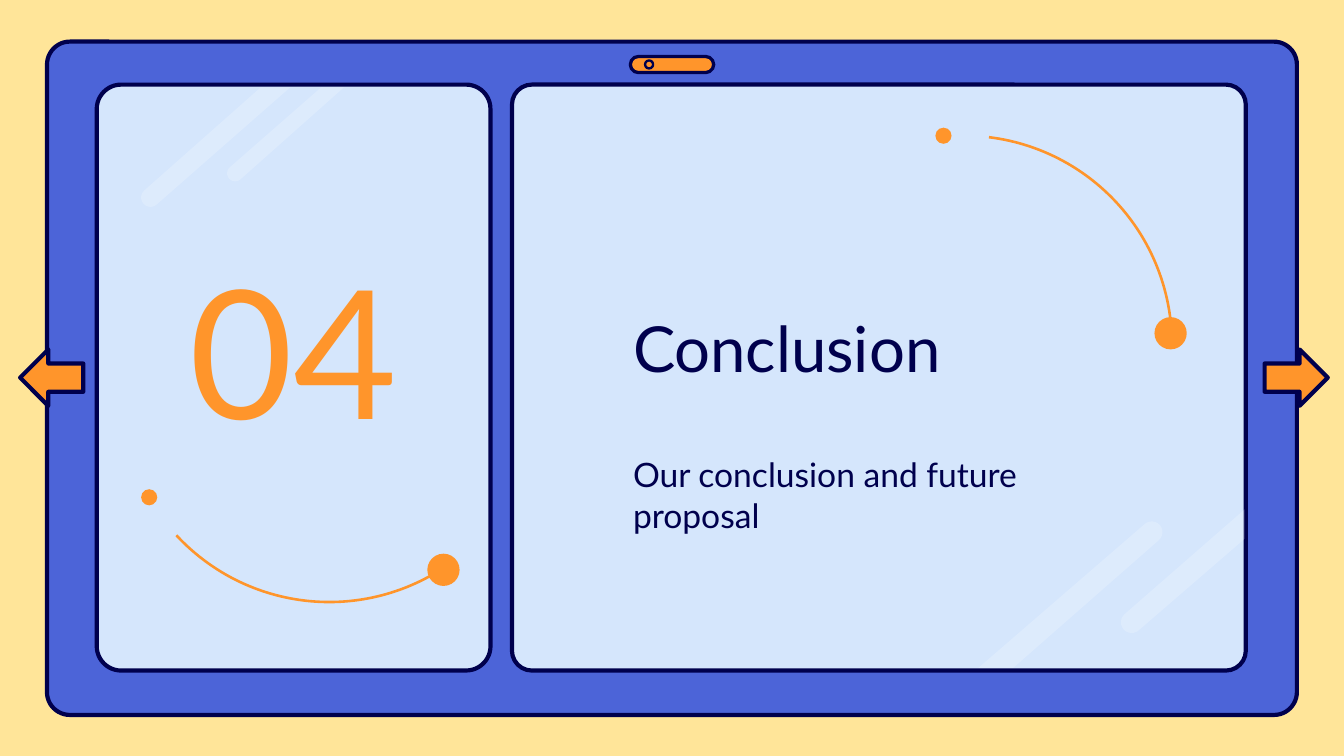
from math import cos, radians, sin

from lxml import etree
from pptx import Presentation
from pptx.dml.color import RGBColor
from pptx.enum.shapes import MSO_SHAPE
from pptx.enum.text import MSO_ANCHOR, MSO_AUTO_SIZE, PP_ALIGN
from pptx.oxml.ns import qn
from pptx.util import Inches, Pt

ROUNDED, OVAL, ARC = MSO_SHAPE.ROUNDED_RECTANGLE, MSO_SHAPE.OVAL, MSO_SHAPE.ARC
LEFT_ARROW, RIGHT_ARROW = MSO_SHAPE.LEFT_ARROW, MSO_SHAPE.RIGHT_ARROW
LEFT, CENTER = PP_ALIGN.LEFT, PP_ALIGN.CENTER
TOP, MIDDLE = MSO_ANCHOR.TOP, MSO_ANCHOR.MIDDLE

THEME = {
    "font": "Lato",
    "page": "FFE599", "frame": "4C64D8", "screen": "D5E6FC",
    "ink": "00004D", "accent": "FF952B", "glare": "FFFFFF",
    "number_size": 96, "title_size": 34, "subtitle_size": 18,
    "outline": 2.25, "camera_outline": 1.75, "lens_outline": 1.25, "orbit_line": 1.4,
}

# Content
NUMBER = "04"
TITLE = "Conclusion"
SUBTITLE = "Our conclusion and future proposal"

# Boxes are left, top, width, height in inches
NUMBER_BOX = (1.14, 1.88, 2.09, 1.41)
TITLE_BOX = (4.71, 1.88, 3.69, 1.41)
SUBTITLE_BOX = (4.71, 3.38, 3.13, 0.64)

# Outlined parts: preset, box, fill, line width, adjustment
DEVICE = [
    (ROUNDED, (0.35, 0.31, 9.3, 5.01), "frame", "outline", 0.034),
    (ROUNDED, (3.81, 0.63, 5.46, 4.36), "screen", "outline", 0.034),
    (ROUNDED, (0.72, 0.63, 2.93, 4.36), "screen", "outline", 0.062),
    (ROUNDED, (4.69, 0.42, 0.62, 0.12), "accent", "camera_outline", 0.5),
    (OVAL, (4.8, 0.45, 0.06, 0.06), "accent", "lens_outline", None),
]
ARROWS = [
    (LEFT_ARROW, (0.15, 2.6, 0.47, 0.42), "accent", "outline", 0.5),
    (RIGHT_ARROW, (9.41, 2.6, 0.47, 0.42), "accent", "outline", 0.5),
]

# Glare: two cut corners at the screen edge, round end's centre, radius, start angle
GLARES = [
    ((1.94, 0.65), (2.16, 0.65), (1.12, 1.47), 0.07, 48),
    ((2.39, 0.65), (2.56, 0.65), (1.75, 1.29), 0.06, 48),
    ((9.26, 3.79), (9.26, 4.01), (8.42, 4.63), 0.08, 48),
    ((7.54, 4.97), (7.28, 4.97), (8.57, 3.96), 0.08, 228),
]
GLARE_ALPHA = 20000

# Orbits: circle centre, start and end angle, large dot centre, small dot centre
ORBITS = [
    ((7.17, 2.56), 277, 359.5, (8.71, 2.48), (7.02, 1.01)),
    ((2.45, 2.93), 55, 137.2, (3.3, 4.24), (1.11, 3.7)),
]
ORBIT_RADIUS, LARGE_DOT, SMALL_DOT = 1.55, 0.12, 0.06


def color(name):
    return RGBColor.from_string(THEME[name])


def around(center, radius):
    return center[0] - radius, center[1] - radius, 2 * radius, 2 * radius


def style(shape, fill=None, line=None, width=None):
    shape.shadow.inherit = False
    if fill:
        shape.fill.solid()
        shape.fill.fore_color.rgb = color(fill)
    else:
        shape.fill.background()
    if line:
        shape.line.color.rgb = color(line)
        shape.line.width = Pt(THEME[width])
    else:
        shape.line.fill.background()


def add_preset(shapes, preset, box):
    return shapes.add_shape(preset, *map(Inches, box))


def add_outlined(shapes, preset, box, fill, width, adjustment):
    shape = add_preset(shapes, preset, box)
    if adjustment is not None:
        shape.adjustments[0] = adjustment
    style(shape, fill, "ink", width)


def add_glare(shapes, first, last, center, radius, start):
    end = [(center[0] + radius * cos(radians(angle)), center[1] + radius * sin(radians(angle)))
           for angle in range(start, start + 181, 15)]
    # Freeform points are whole numbers, so they are given in EMU
    corner, *outline = [(Inches(x), Inches(y)) for x, y in [last, *end, first]]
    builder = shapes.build_freeform(*corner)
    builder.add_line_segments(outline, close=True)
    shape = builder.convert_to_shape()
    style(shape, "glare")
    fill_color = shape.fill._xPr.find(qn("a:solidFill"))[0]
    etree.SubElement(fill_color, qn("a:alpha"), val=str(GLARE_ALPHA))


def add_orbit(shapes, center, start, end, large, small):
    for dot, radius in ((large, LARGE_DOT), (small, SMALL_DOT)):
        style(add_preset(shapes, OVAL, around(dot, radius)), "accent")
    arc = add_preset(shapes, ARC, around(center, ORBIT_RADIUS))
    # Angles are stored in 60000ths of a degree, adjustments in 100000ths
    arc.adjustments[0], arc.adjustments[1] = start * 0.6, end * 0.6
    style(arc, None, "accent", "orbit_line")


def set_text(shape, box, text, size, ink, alignment, anchor):
    shape.left, shape.top, shape.width, shape.height = map(Inches, box)
    frame = shape.text_frame
    frame.text = text
    frame.word_wrap = True
    frame.auto_size = MSO_AUTO_SIZE.NONE
    frame.vertical_anchor = anchor
    frame.margin_left = frame.margin_top = frame.margin_right = frame.margin_bottom = 0
    paragraph = frame.paragraphs[0]
    paragraph.alignment = alignment
    paragraph.space_before = Pt(0)
    paragraph.font.name = THEME["font"]
    paragraph.font.size = Pt(THEME[size])
    paragraph.font.color.rgb = color(ink)


def main():
    presentation = Presentation()
    # A 16:9 page
    presentation.slide_width = Inches(10)
    presentation.slide_height = Inches(10) * 9 // 16
    slide = presentation.slides.add_slide(presentation.slide_layouts[0])
    slide.background.fill.solid()
    slide.background.fill.fore_color.rgb = color("page")
    shapes = slide.shapes
    title, subtitle = shapes.title, slide.placeholders[1]

    # Tablet, glare and orbits
    for part in DEVICE:
        add_outlined(shapes, *part)
    for glare in GLARES:
        add_glare(shapes, *glare)
    for orbit in ORBITS:
        add_orbit(shapes, *orbit)

    # Text, brought in front of the tablet
    for placeholder in (title, subtitle):
        shapes._spTree.append(placeholder._element)
    set_text(title, TITLE_BOX, TITLE, "title_size", "ink", LEFT, MIDDLE)
    set_text(subtitle, SUBTITLE_BOX, SUBTITLE, "subtitle_size", "ink", LEFT, TOP)
    number = shapes.add_textbox(*map(Inches, NUMBER_BOX))
    set_text(number, NUMBER_BOX, NUMBER, "number_size", "accent", CENTER, MIDDLE)

    # Navigation arrows
    for arrow in ARROWS:
        add_outlined(shapes, *arrow)

    presentation.save("out.pptx")


if __name__ == "__main__":
    main()
